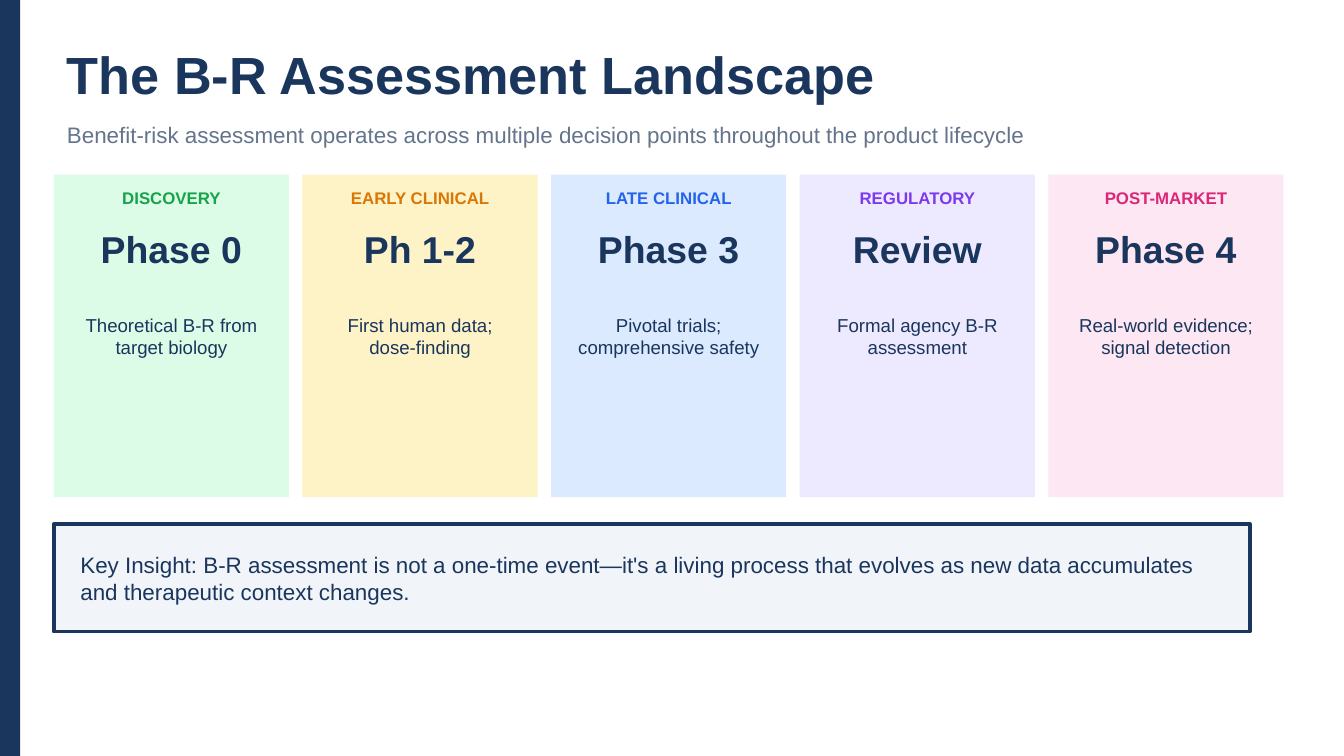
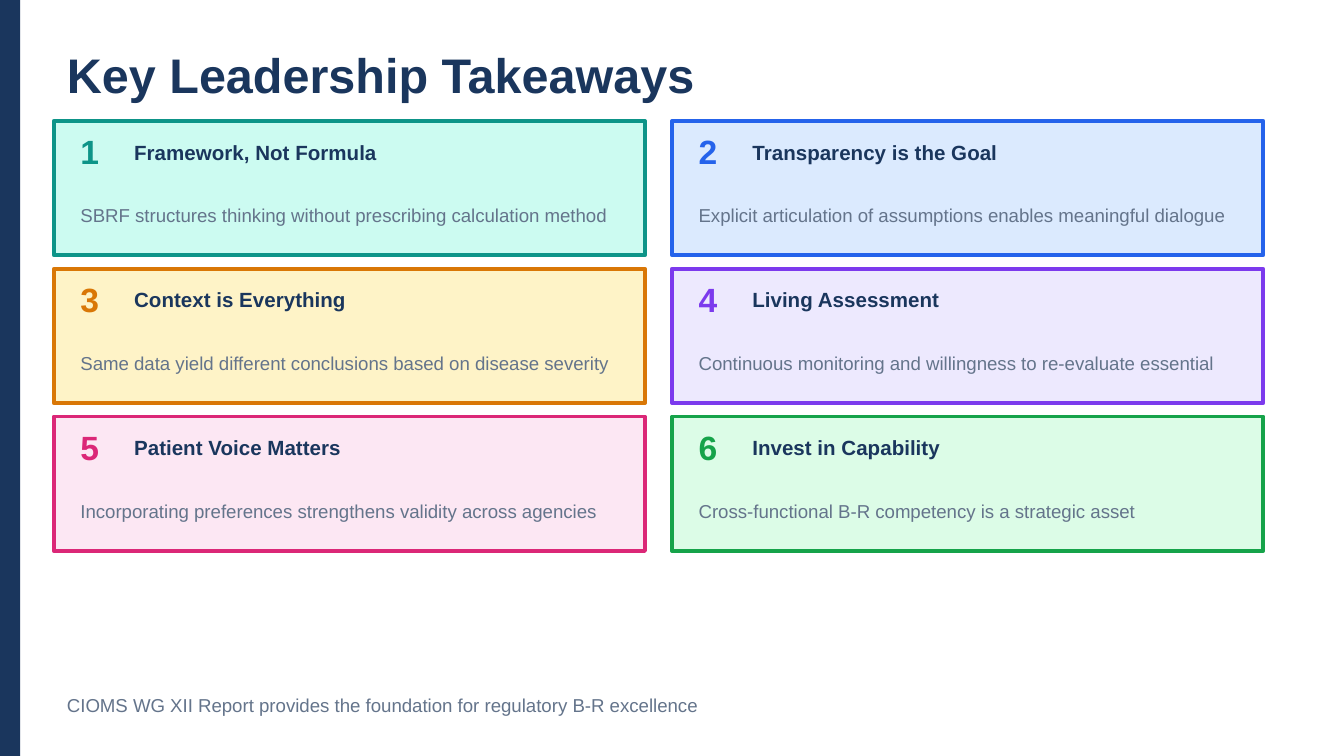
from collections import namedtuple
from pptx import Presentation
from pptx.dml.color import RGBColor
from pptx.enum.shapes import MSO_SHAPE as Shape
from pptx.enum.text import MSO_ANCHOR as Anchor, PP_ALIGN as Align
from pptx.util import Inches, Pt

COLUMNS, ROWS = 200, 112.5
CELL = Inches(10) / COLUMNS
FONT = "Arial"
COLORS = {
    "navy": "1A365D", "slate": "64748B", "mist": "F1F5F9",
    "green": "16A34A", "pale green": "DCFCE7",
    "amber": "D97706", "pale amber": "FEF3C7",
    "blue": "2563EB", "pale blue": "DBEAFE",
    "violet": "7C3AED", "pale violet": "EDE9FE",
    "pink": "DB2777", "pale pink": "FCE7F3",
    "teal": "0D9488", "pale teal": "CCFBF1",
}
PHASES = [
    ("green", "DISCOVERY", "Phase 0", "Theoretical B-R from target biology"),
    ("amber", "EARLY CLINICAL", "Ph 1-2", "First human data; dose-finding"),
    ("blue", "LATE CLINICAL", "Phase 3", "Pivotal trials; comprehensive safety"),
    ("violet", "REGULATORY", "Review", "Formal agency B-R assessment"),
    ("pink", "POST-MARKET", "Phase 4", "Real-world evidence; signal detection"),
]
TAKEAWAYS = [
    ("teal", "Framework, Not Formula",
     "SBRF structures thinking without prescribing calculation method"),
    ("blue", "Transparency is the Goal",
     "Explicit articulation of assumptions enables meaningful dialogue"),
    ("amber", "Context is Everything",
     "Same data yield different conclusions based on disease severity"),
    ("violet", "Living Assessment",
     "Continuous monitoring and willingness to re-evaluate essential"),
    ("pink", "Patient Voice Matters",
     "Incorporating preferences strengthens validity across agencies"),
    ("green", "Invest in Capability",
     "Cross-functional B-R competency is a strategic asset"),
]


class Box(namedtuple("Box", "left top width height")):
    """A rectangle measured in grid columns and rows."""

    def inner(self, left, top, width, height):
        """Return a box whose place is counted from this box's corner."""
        return Box(self.left + left, self.top + top, width, height)

    def lengths(self):
        """Return left, top, width and height as slide lengths."""
        return [round(value * CELL) for value in self]


def rgb(name):
    """Look up a named colour."""
    return RGBColor.from_string(COLORS[name])


def add_panel(slide, box, fill, line=None):
    """Draw a filled rectangle, outlined if a line colour is given."""
    shape = slide.shapes.add_shape(Shape.RECTANGLE, *box.lengths())
    shape.shadow.inherit = False
    shape.fill.solid()
    shape.fill.fore_color.rgb = rgb(fill)
    if line:
        shape.line.color.rgb = rgb(line)
        shape.line.width = Pt(2)
    else:
        shape.line.fill.background()


def add_text(slide, box, text, size, color="navy", bold=False, align=Align.LEFT):
    """Write one vertically centred paragraph in a box."""
    frame = slide.shapes.add_textbox(*box.lengths()).text_frame
    frame.word_wrap = True
    frame.vertical_anchor = Anchor.MIDDLE
    paragraph = frame.paragraphs[0]
    paragraph.alignment = align
    run = paragraph.add_run()
    run.text = text
    run.font.name = FONT
    run.font.size = Pt(size)
    run.font.bold = bold
    run.font.color.rgb = rgb(color)


def add_titled_slide(presentation, title, size):
    """Add a blank slide with the side band and a title."""
    slide = presentation.slides.add_slide(presentation.slide_layouts[6])
    add_panel(slide, Box(0, 0, 3, ROWS), "navy")
    add_text(slide, Box(8, 6, 180, 10), title, size, bold=True)
    return slide


def add_phase(slide, box, color, stage, phase, detail):
    """Fill a column with a lifecycle stage, its phase and a detail."""
    add_panel(slide, box, f"pale {color}")
    add_text(slide, box.inner(0, 1, box.width, 5), stage, 9, color, True, Align.CENTER)
    add_text(slide, box.inner(0, 7, box.width, 8), phase, 20, bold=True, align=Align.CENTER)
    add_text(slide, box.inner(1, 16, box.width - 2, 16), detail, 10, align=Align.CENTER)


def add_insight(slide, box, text):
    """Draw the outlined insight panel."""
    add_panel(slide, box, "mist", "navy")
    add_text(slide, box.inner(2, 2, box.width - 4, box.height - 4), text, 12)


def add_takeaway(slide, box, number, color, heading, detail):
    """Draw a numbered takeaway card."""
    add_panel(slide, box, f"pale {color}", color)
    add_text(slide, box.inner(2, 1, 8, 7), str(number), 18, color, True)
    add_text(slide, box.inner(10, 1.6, box.width - 12, 6), heading, 11, bold=True)
    add_text(slide, box.inner(2, 9, box.width - 4, 10), detail, 10, "slate")


def build_landscape(presentation):
    """Build the slide of lifecycle phases."""
    slide = add_titled_slide(presentation, "The B-R Assessment Landscape", 28)
    add_text(slide, Box(8, 17, 180, 6),
             "Benefit-risk assessment operates across multiple decision points "
             "throughout the product lifecycle", 12, "slate")
    for column, phase in enumerate(PHASES):
        add_phase(slide, Box(8 + column * 37, 26, 35, 48), *phase)
    add_insight(slide, Box(8, 78, 178, 16),
                "Key Insight: B-R assessment is not a one-time event—it's a living "
                "process that evolves as new data accumulates and therapeutic "
                "context changes.")


def build_takeaways(presentation):
    """Build the slide of takeaway cards."""
    slide = add_titled_slide(presentation, "Key Leadership Takeaways", 26)
    for index, takeaway in enumerate(TAKEAWAYS):
        row, column = divmod(index, 2)
        box = Box(8 + column * 92, 18 + row * 22, 88, 20)
        add_takeaway(slide, box, index + 1, *takeaway)
    add_text(slide, Box(8, 102, 180, 6),
             "CIOMS WG XII Report provides the foundation for regulatory B-R excellence",
             10, "slate")


def main():
    """Build and save the presentation."""
    presentation = Presentation()
    presentation.slide_width = round(COLUMNS * CELL)
    presentation.slide_height = round(ROWS * CELL)
    build_landscape(presentation)
    build_takeaways(presentation)
    presentation.save("out.pptx")


if __name__ == "__main__":
    main()
